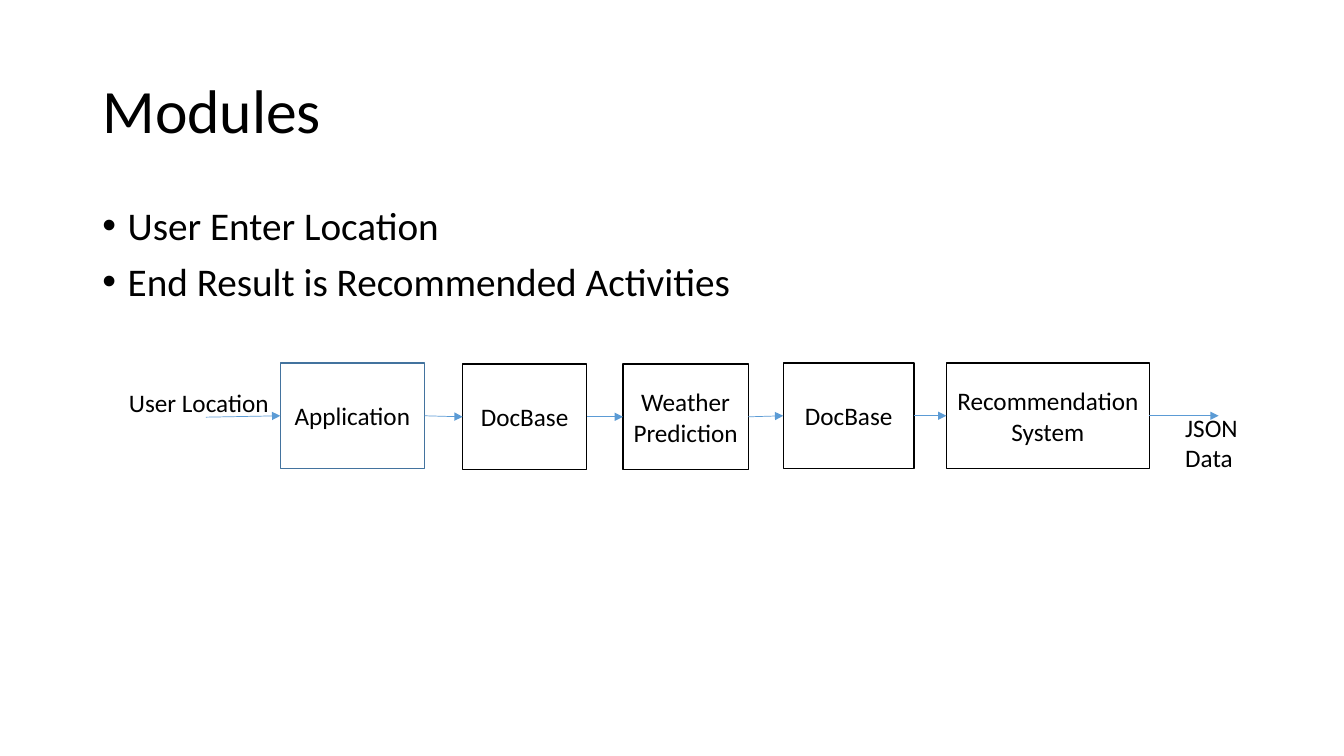
from dataclasses import dataclass

from lxml import etree
from pptx import Presentation
from pptx.dml.color import RGBColor
from pptx.enum.shapes import MSO_CONNECTOR, MSO_SHAPE
from pptx.enum.text import MSO_ANCHOR, MSO_AUTO_SIZE, PP_ALIGN
from pptx.oxml.ns import qn
from pptx.util import Pt


@dataclass(frozen=True)
class Theme:
    font: str = "Calibri"
    black: RGBColor = RGBColor(0, 0, 0)
    white: RGBColor = RGBColor(255, 255, 255)
    arrow: RGBColor = RGBColor(0x5B, 0x9B, 0xD5)
    accent: RGBColor = RGBColor(0x43, 0x73, 0x9E)
    title_size: int = 44
    body_size: int = 28
    label_size: int = 18


theme = Theme()


def add_text(paragraph, text, size, alignment=PP_ALIGN.LEFT):
    paragraph.alignment = alignment
    run = paragraph.add_run()
    run.text = text
    run.font.name = theme.font
    run.font.size = Pt(size)
    run.font.color.rgb = theme.black


def add_arrow(start_x, start_y, end_x, end_y):
    arrow = slide.shapes.add_connector(
        MSO_CONNECTOR.STRAIGHT, Pt(start_x), Pt(start_y), Pt(end_x), Pt(end_y)
    )
    arrow.line.color.rgb = theme.arrow
    arrow.line.width = Pt(0.5)
    etree.SubElement(arrow.line._get_or_add_ln(), qn("a:tailEnd"), type="triangle")
    etree.SubElement(arrow._element.spPr, qn("a:effectLst"))
    return arrow


presentation = Presentation()
presentation.slide_width = Pt(960)
presentation.slide_height = Pt(540)
slide = presentation.slides.add_slide(presentation.slide_layouts[1])

title = slide.shapes.title
title.left, title.top, title.width, title.height = Pt(66), Pt(28.75), Pt(828), Pt(104.4)
title.text_frame.vertical_anchor = MSO_ANCHOR.MIDDLE
title.text_frame.auto_size = MSO_AUTO_SIZE.NONE
title_paragraph = title.text_frame.paragraphs[0]
title_paragraph.line_spacing = 0.9
add_text(title_paragraph, "Modules", theme.title_size)

body = slide.placeholders[1]
body.left, body.top, body.width, body.height = Pt(66), Pt(143.75), Pt(828), Pt(342.6)
body.text_frame.auto_size = MSO_AUTO_SIZE.NONE
for index, bullet in enumerate(
    ["User Enter Location", "End Result is Recommended Activities"]
):
    paragraph = body.text_frame.add_paragraph() if index else body.text_frame.paragraphs[0]
    paragraph.line_spacing = 0.9
    paragraph.space_before = Pt(10)
    properties = paragraph._p.get_or_add_pPr()
    properties.set("marL", str(Pt(18)))
    properties.set("indent", str(Pt(-18)))
    etree.SubElement(properties, qn("a:buFont"), typeface="Arial")
    etree.SubElement(properties, qn("a:buChar"), char="•")
    add_text(paragraph, bullet, theme.body_size)

modules = [
    ("Application", 200.25, 259.25, 103, theme.accent),
    ("DocBase", 330.5, 260, 88.5, theme.black),
    ("Weather Prediction", 445, 260, 89.5, theme.black),
    ("DocBase", 559.5, 259.25, 93.5, theme.black),
    ("Recommendation System", 676, 259.25, 145, theme.black),
]
boxes = []
for name, left, top, width, outline in modules:
    box = slide.shapes.add_shape(
        MSO_SHAPE.RECTANGLE, Pt(left), Pt(top), Pt(width), Pt(75.5)
    )
    box.shadow.inherit = False
    box.fill.solid()
    box.fill.fore_color.rgb = theme.white
    box.line.color.rgb = outline
    box.line.width = Pt(1)
    box.text_frame.word_wrap = True
    box.text_frame.vertical_anchor = MSO_ANCHOR.MIDDLE
    add_text(box.text_frame.paragraphs[0], name, theme.label_size, PP_ALIGN.CENTER)
    boxes.append(box)

input_arrow = add_arrow(147, 298, 200.25, 297)
input_arrow.end_connect(boxes[0], 1)
for source, target in zip(boxes, boxes[1:]):
    arrow = add_arrow(0, 0, 0, 0)
    arrow.begin_connect(source, 3)
    arrow.end_connect(target, 1)
output_arrow = add_arrow(821, 297, 870.5, 297)
output_arrow.begin_connect(boxes[-1], 3)

for text, left, top, width, height, wraps in [
    ("User Location", 85, 273, 116, 29, False),
    ("JSON Data", 839.5, 291, 59, 51, True),
]:
    label = slide.shapes.add_textbox(Pt(left), Pt(top), Pt(width), Pt(height))
    label.text_frame.word_wrap = wraps
    label.text_frame.auto_size = MSO_AUTO_SIZE.SHAPE_TO_FIT_TEXT
    add_text(label.text_frame.paragraphs[0], text, theme.label_size)

presentation.save("out.pptx")
